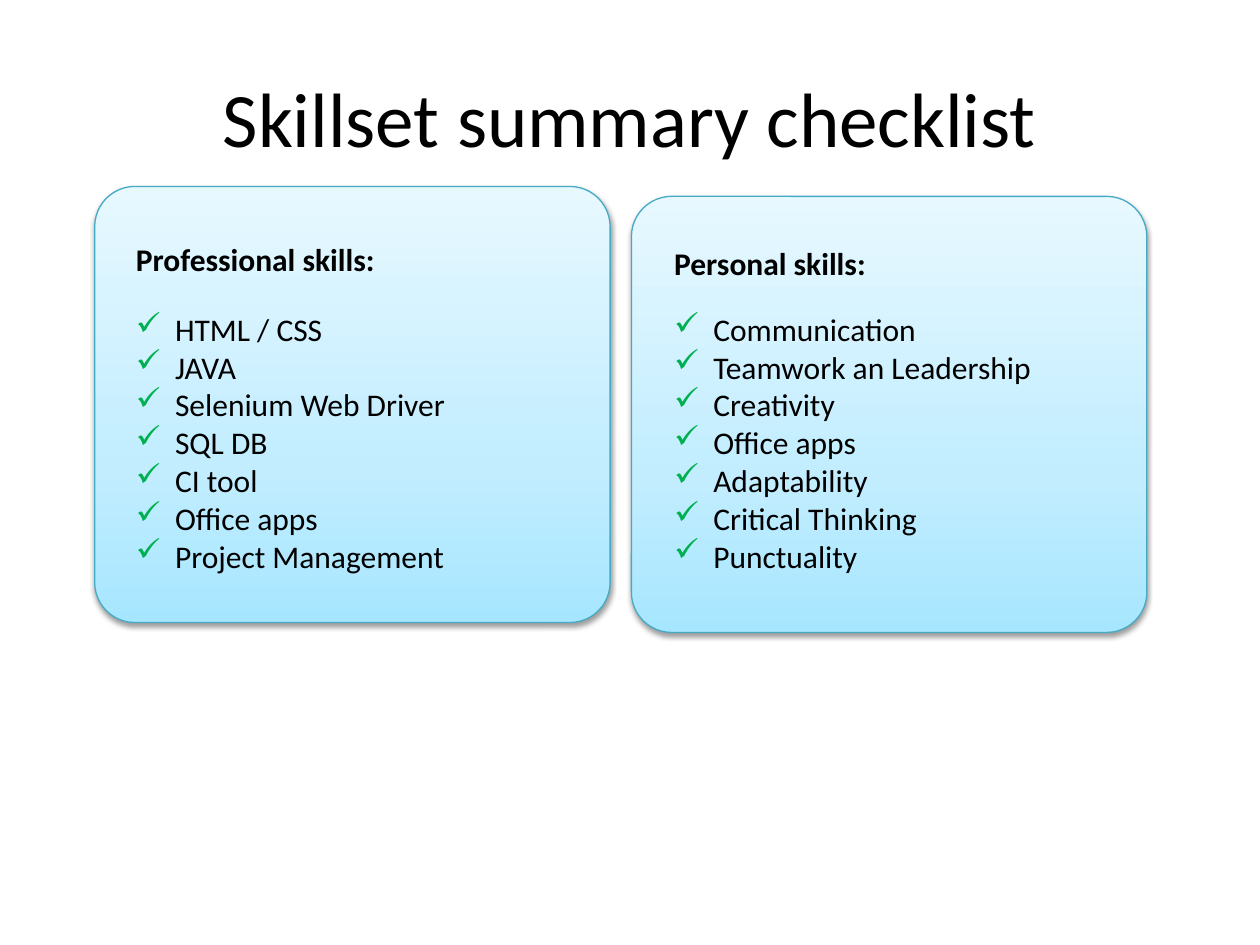
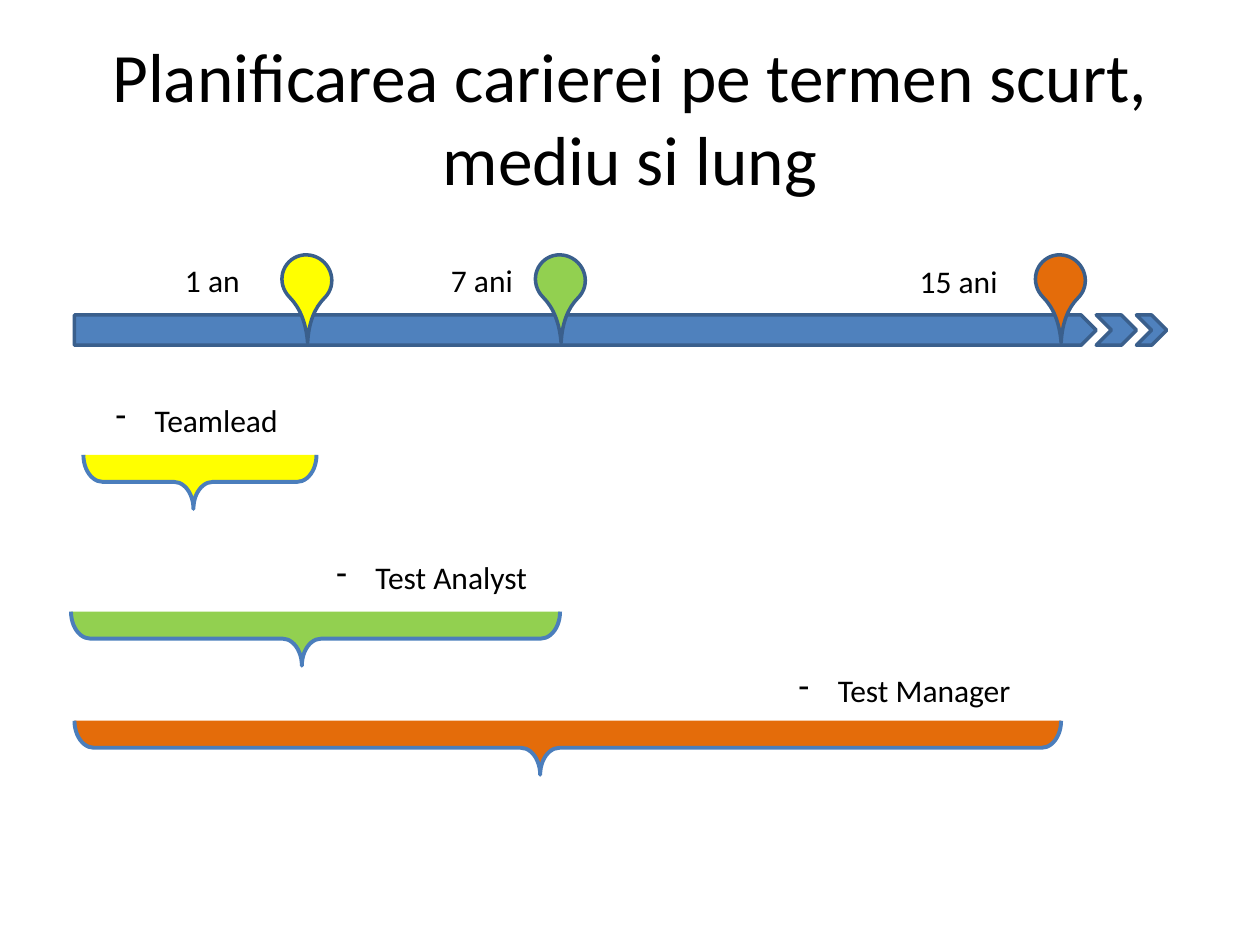
from dataclasses import dataclass

from copy import deepcopy
from lxml.etree import SubElement
from pptx import Presentation
from pptx.dml.color import RGBColor
from pptx.enum.shapes import MSO_SHAPE as Preset
from pptx.enum.text import MSO_ANCHOR as Anchor, PP_ALIGN as Align
from pptx.oxml.ns import qn
from pptx.shapes.autoshape import Shape
from pptx.slide import Slide
from pptx.util import Cm, Pt

FONT = "Calibri"
BLACK = RGBColor(0x00, 0x00, 0x00)
CHECK_GREEN = RGBColor(0x00, 0xB0, 0x50)
CARD_EDGE = RGBColor(0x46, 0xAA, 0xC5)
CARD_STOPS = (
    (0.0, RGBColor(0xA7, 0xE6, 0xFF)),
    (0.35, RGBColor(0xC1, 0xED, 0xFF)),
    (1.0, RGBColor(0xE7, 0xF8, 0xFF)),
)
BAR_BLUE = RGBColor(0x4F, 0x81, 0xBD)
BAR_EDGE = RGBColor(0x3A, 0x5F, 0x8C)
BRACE_EDGE = RGBColor(0x4B, 0x7E, 0xBC)
YELLOW = RGBColor(0xFF, 0xFF, 0x00)
GREEN = RGBColor(0x92, 0xD0, 0x50)
ORANGE = RGBColor(0xE4, 0x6C, 0x0A)

LINE_HEIGHT = 1.02
BULLET_INDENT = 0.79
BAR_TOP, BAR_HEIGHT = 6.35, 0.61
PIN_TOP, PIN_WIDTH, PIN_HEIGHT = 5.13, 0.99, 1.02
BRACE_DEPTH = 1.09


@dataclass
class Box:
    """A frame in centimetres."""

    left: float
    top: float
    width: float
    height: float = LINE_HEIGHT

    def lengths(self) -> tuple[Cm, Cm, Cm, Cm]:
        """Return the frame as lengths."""
        return Cm(self.left), Cm(self.top), Cm(self.width), Cm(self.height)


@dataclass
class SkillCard:
    """A card with a heading and a checklist."""

    card: Box
    heading_box: Box
    heading: str
    skills: tuple[str, ...]


@dataclass
class Milestone:
    """A career step: its pin, its time and the brace with the role."""

    color: RGBColor
    pin_left: float
    years: str
    years_box: Box
    role: str
    role_box: Box
    brace: Box


TITLE_BOX = Box(1.27, 0.76, 22.86, 3.18)
LIST_TOP, LIST_WIDTH, LIST_HEIGHT = 6.12, 8.79, 5.64

SKILL_CARDS = (
    SkillCard(
        Box(1.91, 3.76, 10.39, 8.79), Box(2.49, 4.72, 9.19), "Professional skills:",
        ("HTML / CSS", "JAVA", "Selenium Web Driver", "SQL DB", "CI tool",
         "Office apps", "Project Management"),
    ),
    SkillCard(
        Box(12.73, 3.96, 10.39, 8.79), Box(13.34, 4.8, 9.19), "Personal skills:",
        ("Communication", "Teamwork an Leadership", "Creativity", "Office apps",
         "Adaptability", "Critical Thinking", "Punctuality"),
    ),
)

TIMELINE = (
    (Preset.PENTAGON, 1.5, 20.6),
    (Preset.CHEVRON, 22.1, 0.81),
    (Preset.CHEVRON, 22.91, 0.61),
)

MILESTONES = (
    Milestone(YELLOW, 5.69, "1 an", Box(3.48, 5.13, 1.8),
              "Teamlead", Box(2.08, 7.95, 4.22), Box(1.68, 9.17, 4.7, BRACE_DEPTH)),
    Milestone(GREEN, 10.8, "7 ani", Box(8.84, 5.13, 1.8),
              "Test Analyst", Box(6.53, 11.13, 4.78), Box(1.43, 12.33, 9.86, BRACE_DEPTH)),
    Milestone(ORANGE, 20.88, "15 ani", Box(18.29, 5.16, 2.36),
              "Test Manager", Box(15.85, 13.41, 5.54), Box(1.5, 14.53, 19.89, BRACE_DEPTH)),
)


def add_text(slide: Slide, box: Box, *lines: str, size: float = 18, bold: bool = False,
             align: Align = Align.LEFT, anchor: Anchor = Anchor.TOP,
             bullet: str = "", bullet_color: RGBColor = BLACK) -> None:
    """Add a text box with one paragraph for each line."""
    frame = slide.shapes.add_textbox(*box.lengths()).text_frame
    frame.word_wrap = True
    frame.vertical_anchor = anchor
    for index, line in enumerate(lines):
        paragraph = frame.add_paragraph() if index else frame.paragraphs[0]
        paragraph.alignment = align
        run = paragraph.add_run()
        run.text = line
        font = run.font
        font.name, font.size, font.bold = FONT, Pt(size), bold
        font.color.rgb = BLACK
        if bullet:
            properties = paragraph._p.get_or_add_pPr()
            properties.set("marL", str(Cm(BULLET_INDENT)))
            properties.set("indent", str(-Cm(BULLET_INDENT)))
            color = SubElement(properties, qn("a:buClr"))
            SubElement(color, qn("a:srgbClr"), val=str(bullet_color))
            SubElement(properties, qn("a:buChar"), char=bullet)


def add_title(slide: Slide, text: str, size: float) -> None:
    """Add the centred slide title."""
    add_text(slide, TITLE_BOX, text, size=size, align=Align.CENTER, anchor=Anchor.MIDDLE)


def add_preset(slide: Slide, preset: Preset, box: Box, edge: RGBColor, weight: float,
               fill: RGBColor | None = None, adjustments: tuple[float, ...] = (),
               rotation: float = 0) -> Shape:
    """Add an outlined preset shape without a shadow."""
    shape = slide.shapes.add_shape(preset, *box.lengths())
    for index, value in enumerate(adjustments):
        shape.adjustments[index] = value
    shape.rotation = rotation
    shape.line.color.rgb = edge
    shape.line.width = Pt(weight)
    shape.shadow.inherit = False
    if fill is not None:
        shape.fill.solid()
        shape.fill.fore_color.rgb = fill
    return shape


def fill_gradient(shape: Shape) -> None:
    """Fill a card from its dark bottom to its light top."""
    shape.fill.gradient()
    shape.fill.gradient_angle = 90
    stop_list = shape._element.spPr.find(".//" + qn("a:gsLst"))
    stop_list.append(deepcopy(stop_list[0]))
    for stop, (position, color) in zip(shape.fill.gradient_stops, CARD_STOPS):
        stop.position = position
        stop.color.rgb = color


def add_shadow(shape: Shape) -> None:
    """Give a shape a soft shadow below."""
    effects = shape._element.spPr.find(qn("a:effectLst"))
    shadow = SubElement(effects, qn("a:outerShdw"), blurRad=str(Pt(3.1)),
                        dist=str(Pt(1.6)), dir="5400000", rotWithShape="0")
    color = SubElement(shadow, qn("a:srgbClr"), val=str(BLACK))
    SubElement(color, qn("a:alpha"), val="38000")


def add_card(slide: Slide, card: SkillCard) -> None:
    """Draw one skill card with its heading and checklist."""
    shape = add_preset(slide, Preset.ROUNDED_RECTANGLE, card.card, CARD_EDGE, 0.75,
                       adjustments=(0.092,))
    fill_gradient(shape)
    add_shadow(shape)
    add_text(slide, card.heading_box, card.heading, bold=True)
    list_box = Box(card.heading_box.left, LIST_TOP, LIST_WIDTH, LIST_HEIGHT)
    add_text(slide, list_box, *card.skills, bullet="✓", bullet_color=CHECK_GREEN)


def add_brace(slide: Slide, span: Box, fill: RGBColor) -> None:
    """Draw a brace that points down and covers the given span."""
    upright = Box(span.left + (span.width - span.height) / 2,
                  span.top + (span.height - span.width) / 2, span.height, span.width)
    add_preset(slide, Preset.RIGHT_BRACE, upright, BRACE_EDGE, 2.25, fill,
               adjustments=(0.359, 0.528), rotation=90)


def add_milestone(slide: Slide, step: Milestone) -> None:
    """Draw the pin, brace and labels of one career step."""
    add_brace(slide, step.brace, step.color)
    pin = Box(step.pin_left, PIN_TOP, PIN_WIDTH, PIN_HEIGHT)
    add_preset(slide, Preset.TEAR, pin, BAR_EDGE, 2, step.color,
               adjustments=(1.789,), rotation=135.2)
    add_text(slide, step.years_box, step.years)
    add_text(slide, step.role_box, step.role, bullet="-")


def build_skills(slide: Slide) -> None:
    """Build the skill checklist slide."""
    add_title(slide, "Skillset summary checklist", 44)
    for card in SKILL_CARDS:
        add_card(slide, card)


def build_career(slide: Slide) -> None:
    """Build the career timeline slide."""
    add_title(slide, "Planificarea carierei pe termen scurt, mediu si lung", 39.6)
    for preset, left, width in TIMELINE:
        add_preset(slide, preset, Box(left, BAR_TOP, width, BAR_HEIGHT), BAR_EDGE, 2, BAR_BLUE)
    for step in MILESTONES:
        add_milestone(slide, step)


def main() -> None:
    """Build and save the presentation."""
    presentation = Presentation()
    presentation.slide_width, presentation.slide_height = Cm(25.4), Cm(19.05)
    blank = presentation.slide_layouts[6]
    for build in (build_skills, build_career):
        build(presentation.slides.add_slide(blank))
    presentation.save("out.pptx")


main()
